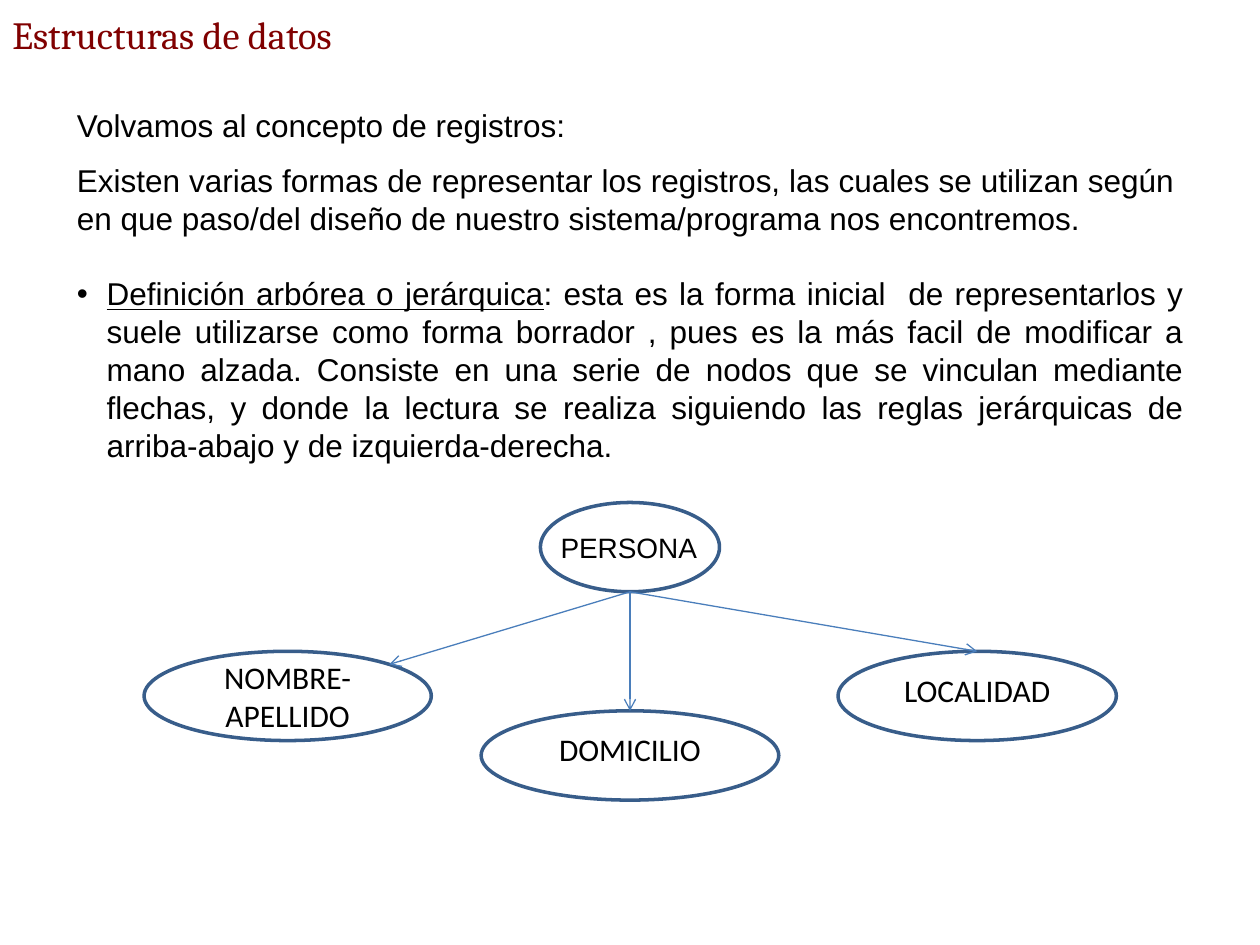
from math import sqrt

from pptx import Presentation
from pptx.dml.color import RGBColor
from pptx.enum import shapes, text
from pptx.oxml import parse_xml
from pptx.oxml.ns import nsdecls
from pptx.util import Cm, Pt

BLACK = RGBColor(0x00, 0x00, 0x00)
MAROON = RGBColor(0x80, 0x00, 0x00)
NODE_BLUE = RGBColor(0x38, 0x5D, 0x8A)
ARROW_BLUE = RGBColor(0x4A, 0x7E, 0xBB)

TITLE = "Estructuras de datos"
# runs (text, underlined), line spacing, space before in points, bullet
BODY = [
    ([("Volvamos al concepto de registros:", False)], 0.54, 0, False),
    ([("Existen varias formas de representar los registros, las cuales se "
       "utilizan según  en que paso/del diseño de nuestro sistema/programa "
       "nos encontremos.", False)], 1, 11.5, False),
    ([("Definición arbórea o jerárquica", True),
      (": esta es la forma inicial  de representarlos y suele utilizarse como "
       "forma borrador , pues es la más facil de modificar a mano alzada. "
       "Consiste en una serie de nodos que se vinculan mediante flechas, y "
       "donde la lectura se realiza siguiendo las reglas jerárquicas de "
       "arriba-abajo y de izquierda-derecha.", False)], 1, 21.5, True),
]
ROOT = "PERSONA"
NODE_HEIGHT = 1.8
ROOT_CENTER, ROOT_TOP, ROOT_WIDTH = 12.7, 10.13, 3.61
# label, centre, top, width (cm), line spacing
CHILDREN = [
    ("NOMBRE-APELLIDO", 5.8, 13.13, 5.79, 1),
    ("DOMICILIO", 12.7, 14.33, 6, 0.54),
    ("LOCALIDAD", 19.7, 13.13, 5.61, 0.54),
]


def add_run(paragraph, content, font, size, color=BLACK, underline=False):
    run = paragraph.add_run()
    run.text = content
    run.font.name = font
    run.font.size = Pt(size)
    run.font.color.rgb = color
    if underline:
        run.font.underline = True


def add_text_box(slide, left, top, width, height):
    box = slide.shapes.add_textbox(Cm(left), Cm(top), Cm(width), Cm(height))
    box.text_frame.word_wrap = True
    return box.text_frame


def add_bullet(paragraph):
    properties = paragraph._p.get_or_add_pPr()
    properties.set("marL", str(Cm(0.6)))
    properties.set("indent", str(-Cm(0.6)))
    properties.append(parse_xml(f'<a:buFont {nsdecls("a")} typeface="Arial"/>'))
    properties.append(parse_xml(f'<a:buChar {nsdecls("a")} char="•"/>'))


def add_node(slide, center, top, width):
    node = slide.shapes.add_shape(
        shapes.MSO_SHAPE.OVAL, Cm(center - width / 2), Cm(top), Cm(width), Cm(NODE_HEIGHT))
    node.shadow.inherit = False
    node.fill.background()
    node.line.color.rgb = NODE_BLUE
    node.line.width = Pt(2)
    return node


def add_arrow(slide, x, y):
    """Draw an arrow from the bottom of the root to (x, y)."""
    arrow = slide.shapes.add_connector(
        shapes.MSO_CONNECTOR.STRAIGHT,
        Cm(ROOT_CENTER), Cm(ROOT_TOP + NODE_HEIGHT), Cm(x), Cm(y))
    arrow.line.color.rgb = ARROW_BLUE
    arrow.line.width = Pt(0.75)
    arrow.line._get_or_add_ln().append(
        parse_xml(f'<a:tailEnd {nsdecls("a")} type="arrow"/>'))
    arrow._element.spPr.append(parse_xml(f'<a:effectLst {nsdecls("a")}/>'))


def main():
    presentation = Presentation()
    presentation.slide_width, presentation.slide_height = Cm(25.4), Cm(19.05)
    slide = presentation.slides.add_slide(presentation.slide_layouts[6])

    title = add_text_box(slide, 0, 0, 25.35, 1.37)
    title.vertical_anchor = text.MSO_ANCHOR.MIDDLE
    add_run(title.paragraphs[0], TITLE, "Cambria", 22, MAROON)

    body = add_text_box(slide, 1.3, 2.31, 22.81, 9.47)
    for index, (runs, spacing, before, bullet) in enumerate(BODY):
        paragraph = body.add_paragraph() if index else body.paragraphs[0]
        paragraph.alignment = text.PP_ALIGN.JUSTIFY
        paragraph.line_spacing = spacing
        paragraph.space_before = Pt(before)
        if bullet:
            add_bullet(paragraph)
        for content, underline in runs:
            add_run(paragraph, content, "Arial", 18, underline=underline)

    add_node(slide, ROOT_CENTER, ROOT_TOP, ROOT_WIDTH)
    root_label = add_text_box(slide, 11.05, 10.85, 3.66, 0.64).paragraphs[0]
    root_label.line_spacing = 0.54
    add_run(root_label, ROOT, "Arial", 16)

    for label, center, top, width, spacing in CHILDREN:
        node = add_node(slide, center, top, width)
        node.text_frame.word_wrap = True
        node.text_frame.vertical_anchor = text.MSO_ANCHOR.MIDDLE
        paragraph = node.text_frame.paragraphs[0]
        paragraph.alignment = text.PP_ALIGN.CENTER
        paragraph.line_spacing = spacing
        add_run(paragraph, label, "Calibri", 18)

    # The left arrow meets its ellipse at 45 degrees, the others at the top.
    for index, (label, center, top, width, spacing) in enumerate(CHILDREN):
        if index == 0:
            add_arrow(slide, center + width / 2 / sqrt(2),
                      top + NODE_HEIGHT / 2 * (1 - 1 / sqrt(2)))
        else:
            add_arrow(slide, center, top)

    presentation.save("out.pptx")


if __name__ == "__main__":
    main()
